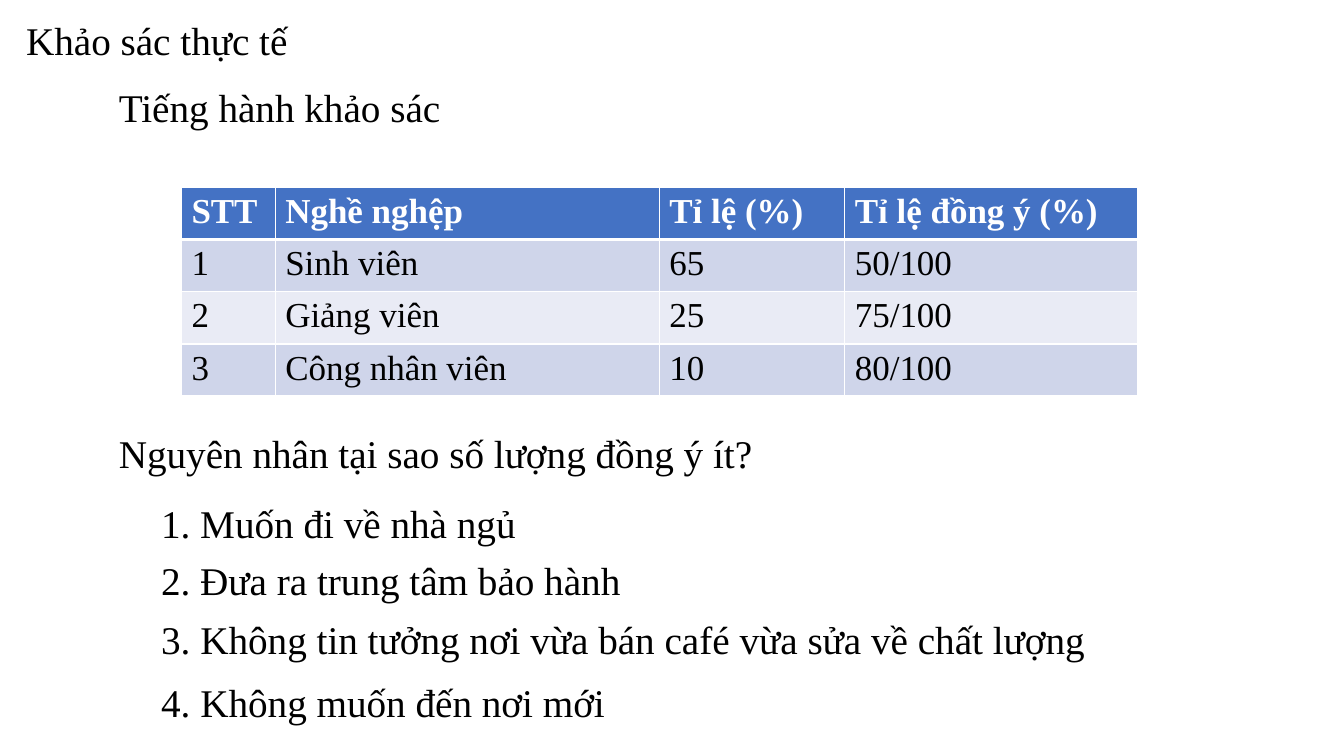
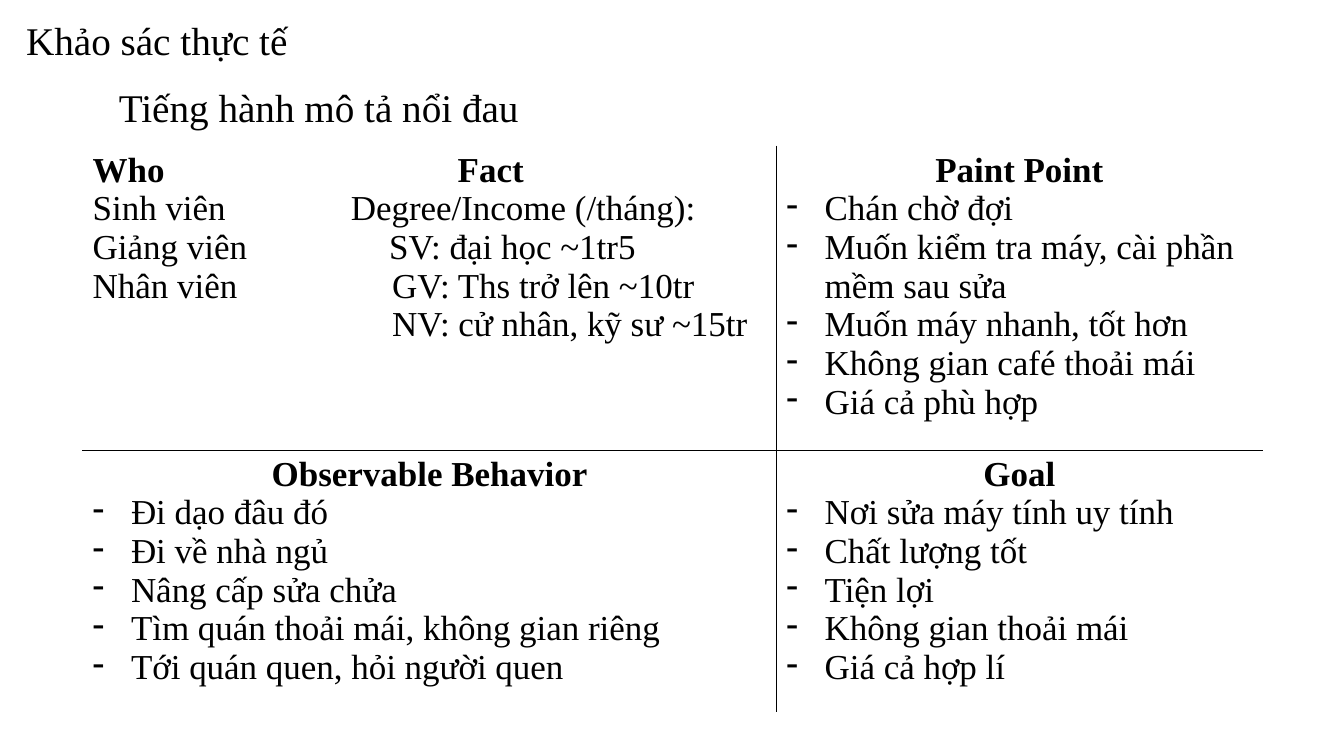
from lxml import etree
from pptx import Presentation
from pptx.dml.color import RGBColor
from pptx.enum.text import MSO_AUTO_SIZE, PP_ALIGN
from pptx.oxml.ns import qn
from pptx.util import Inches, Pt

FIT_SHAPE = MSO_AUTO_SIZE.SHAPE_TO_FIT_TEXT
CENTER = PP_ALIGN.CENTER

FONT = "Times New Roman"
LINE_SIZE, TABLE_SIZE = 28, 25
COLORS = {
    "text": "000000",
    "paper": "FFFFFF",
    "header": "4472C4",
    "odd row": "CFD5EA",
    "even row": "E9EBF5",
}

deck = Presentation()
deck.slide_width = Inches(13.33)
deck.slide_height = Inches(7.5)

# The slide is a grid of 100 columns by 100 rows.
COLUMN = deck.slide_width / 100
ROW = deck.slide_height / 100
LINE_HEIGHT = 7.6
MARGIN, INDENT, REASON_INDENT = 1.2, 8.1, 11.25
WIDE = 83.9
HANGING = Inches(0.38)


def add_span(para, text, size, color="text", bold=False):
    span = para.add_run()
    span.text = text
    span.font.name = FONT
    span.font.size = Pt(size)
    span.font.bold = bold
    span.font.color.rgb = RGBColor.from_string(COLORS[color])


def paint_cell(cell, fill, color, edges):
    """Fill a cell and rule its edges; edges maps L, R, T, B to points."""
    properties = cell._tc.get_or_add_tcPr()
    for side in "LRTB":
        if side in edges:
            line = etree.SubElement(properties, qn(f"a:ln{side}"), w=str(Pt(edges[side])))
            solid = etree.SubElement(line, qn("a:solidFill"))
            etree.SubElement(solid, qn("a:srgbClr"), val=COLORS[color])
    cell.fill.solid()
    cell.fill.fore_color.rgb = RGBColor.from_string(COLORS[fill])


# Lines of text on each slide: left, top, width, text
title = (MARGIN, 1.47, 29, "Khảo sác thực tế")
slide_lines = [
    [
        title,
        (INDENT, 10.4, WIDE, "Tiếng hành khảo sác"),
        (INDENT, 56.13, WIDE, "Nguyên nhân tại sao số lượng đồng ý ít?"),
        (REASON_INDENT, 65.33, 37.8, "1. Muốn đi về nhà ngủ"),
        (REASON_INDENT, 72.93, 37.8, "2. Đưa ra trung tâm bảo hành"),
        (REASON_INDENT, 80.8, 72.8, "3. Không tin tưởng nơi vừa bán café vừa sửa về chất lượng"),
        (REASON_INDENT, 89.07, 72.8, "4. Không muốn đến nơi mới"),
    ],
    [
        title,
        (INDENT, 10.4, WIDE, "Tiếng hành mô tả nổi đau"),
    ],
]

# Table frames: left, top, column widths, row heights
table_frames = [
    (13.5, 24.8, [6.98, 28.58, 13.8, 21.75], [6.9] * 4),
    (6.15, 19.33, [51.61, 36.16], [40.2, 34.67]),
]

tables = []
for lines, (table_left, table_top, widths, heights) in zip(slide_lines, table_frames):
    page = deck.slides.add_slide(deck.slide_layouts[6])
    for left, top, width, text in lines:
        box = page.shapes.add_textbox(
            int(left * COLUMN), int(top * ROW), int(width * COLUMN), int(LINE_HEIGHT * ROW)
        )
        box.text_frame.word_wrap = True
        box.text_frame.auto_size = FIT_SHAPE
        add_span(box.text_frame.paragraphs[0], text, LINE_SIZE)

    table = page.shapes.add_table(
        len(heights), len(widths),
        int(table_left * COLUMN), int(table_top * ROW),
        int(sum(widths) * COLUMN), int(sum(heights) * ROW),
    ).table
    table.first_row = False
    table.horz_banding = False
    for column, width in zip(table.columns, widths):
        column.width = int(width * COLUMN)
    for row, height in zip(table.rows, heights):
        row.height = int(height * ROW)
    tables.append(table)

survey_table, persona_table = tables

# Survey results
survey_rows = [
    ["STT", "Nghề nghệp", "Tỉ lệ (%)", "Tỉ lệ đồng ý (%)"],
    ["1", "Sinh viên", "65", "50/100"],
    ["2", "Giảng viên", "25", "75/100"],
    ["3", "Công nhân viên", "10", "80/100"],
]
for r, values in enumerate(survey_rows):
    is_header = r == 0
    fill = "header" if is_header else ("odd row" if r % 2 else "even row")
    edges = {"L": 1, "R": 1, "T": 3 if r == 1 else 1, "B": 3 if is_header else 1}
    for c, value in enumerate(values):
        cell = survey_table.cell(r, c)
        paint_cell(cell, fill, "paper", edges)
        add_span(cell.text_frame.paragraphs[0], value, TABLE_SIZE,
                 "paper" if is_header else "text", bold=is_header)

# Persona quadrants: the first one is set with tab stops, the others are lists
tabbed_lines = [
    (3.62, "Who\tFact"),
    (2.56, "Sinh viên\tDegree/Income (/tháng):"),
    (2.94, "Giảng viên\tSV: đại học ~1tr5"),
    (2.97, "Nhân viên\tGV: Ths trở lên ~10tr"),
    (2.97, "\tNV: cử nhân, kỹ sư ~15tr"),
]
quadrant_lists = {
    (0, 1): ["Paint Point", "Chán chờ đợi", "Muốn kiểm tra máy, cài phần mềm sau sửa",
             "Muốn máy nhanh, tốt hơn", "Không gian café thoải mái", "Giá cả phù hợp"],
    (1, 0): ["Observable Behavior", "Đi dạo đâu đó", "Đi về nhà ngủ", "Nâng cấp sửa chửa",
             "Tìm quán thoải mái, không gian riêng", "Tới quán quen, hỏi người quen"],
    (1, 1): ["Goal", "Nơi sửa máy tính uy tính", "Chất lượng tốt", "Tiện lợi",
             "Không gian thoải mái", "Giá cả hợp lí"],
}

for r in range(2):
    for c in range(2):
        inner_edges = {"L" if c else "R": 1, "T" if r else "B": 1}
        paint_cell(persona_table.cell(r, c), "paper", "text", inner_edges)

frame = persona_table.cell(0, 0).text_frame
for i, (stop, text) in enumerate(tabbed_lines):
    para = frame.add_paragraph() if i else frame.paragraphs[0]
    stops = etree.SubElement(para._p.get_or_add_pPr(), qn("a:tabLst"))
    etree.SubElement(stops, qn("a:tab"), pos=str(Inches(stop)), algn="l")
    add_span(para, text, TABLE_SIZE, bold=i == 0)

for (r, c), texts in quadrant_lists.items():
    frame = persona_table.cell(r, c).text_frame
    for i, text in enumerate(texts):
        para = frame.add_paragraph() if i else frame.paragraphs[0]
        if i == 0:
            para.alignment = CENTER
        else:
            properties = para._p.get_or_add_pPr()
            properties.set("marL", str(HANGING))
            properties.set("indent", str(-HANGING))
            etree.SubElement(properties, qn("a:buChar"), char="-")
        add_span(para, text, TABLE_SIZE, bold=i == 0)

deck.save("out.pptx")
